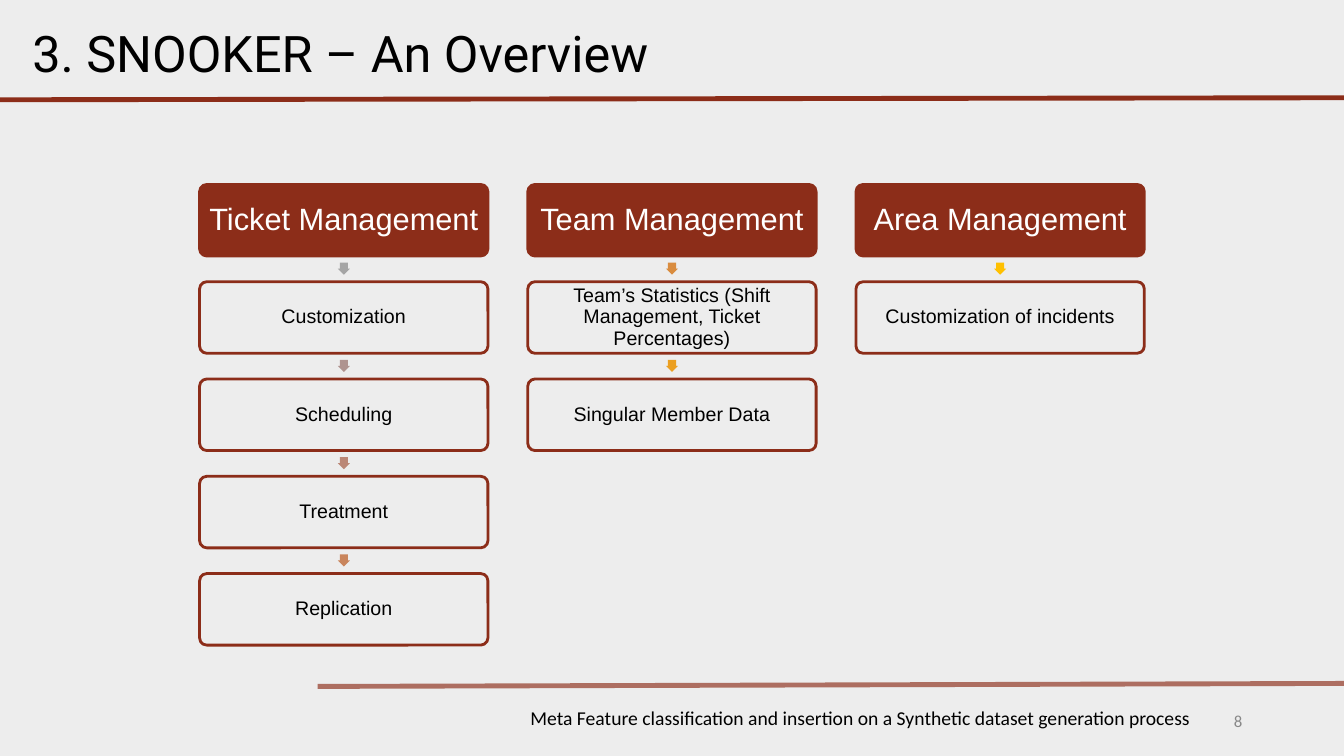
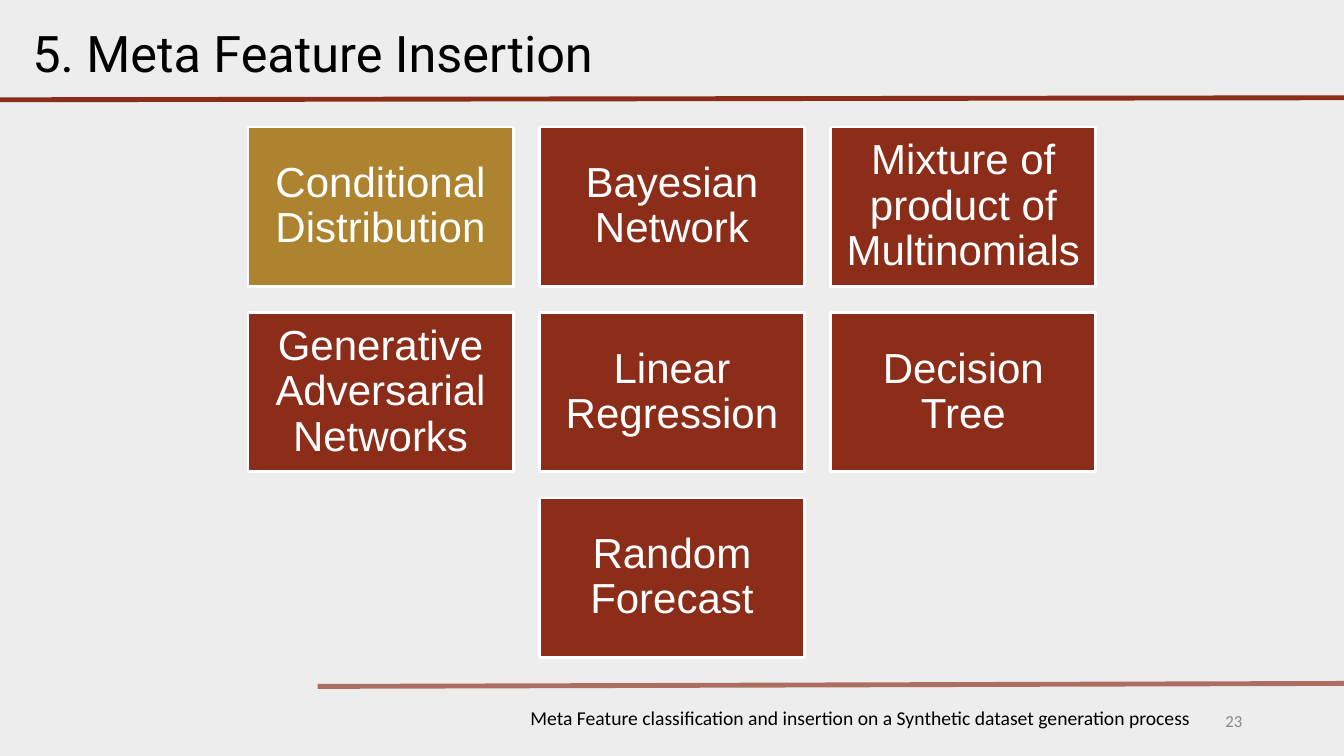
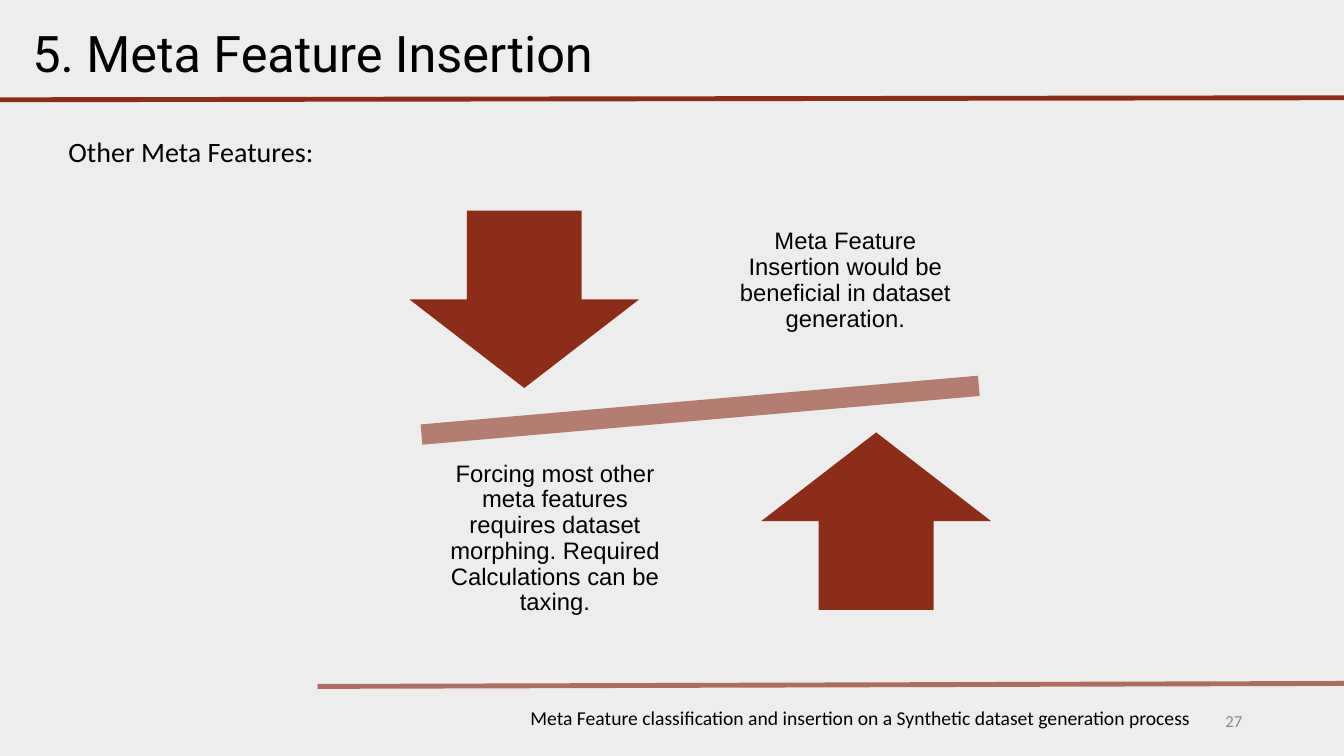
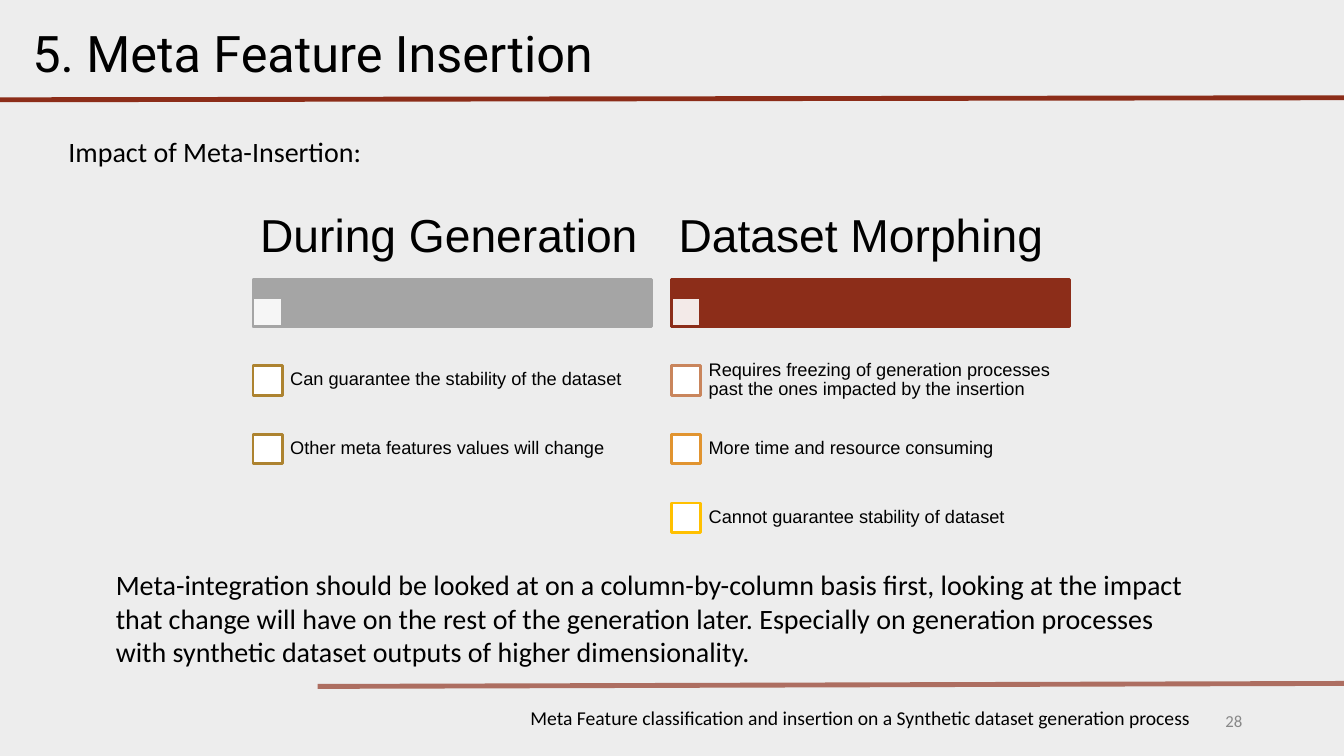
from lxml.etree import SubElement
from pptx import Presentation
from pptx.dml.color import RGBColor
from pptx.enum.shapes import MSO_CONNECTOR, MSO_SHAPE as SHAPE
from pptx.enum.text import MSO_ANCHOR as ANCHOR, MSO_AUTO_SIZE, PP_ALIGN as ALIGN
from pptx.oxml.ns import qn
from pptx.util import Inches, Pt

COLORS = {
    "background": "EDEDED", "brick": "8C2D19", "ochre": "AD8330", "gray": "A5A5A5",
    "white": "FFFFFF", "black": "000000", "number": "888888",
    "dusk": "AF938F", "clay": "BB8776", "copper": "C9855C", "orange": "D98C3F",
    "tangerine": "E19430", "amber": "EB9F21", "yellow": "FFC000",
}
FOOTER = "Meta Feature classification and insertion on a Synthetic dataset generation process"
INSERTION_TITLE = "5. Meta Feature Insertion"


def rgb(name):
    return RGBColor.from_string(COLORS[name])


def set_opacity(shape, percent):
    """Make the first solid colour of the shape partly transparent."""
    color = shape.element.spPr.find(f".//{qn('a:solidFill')}/{qn('a:srgbClr')}")
    SubElement(color, qn("a:alpha"), val=str(percent * 1000))


def write_text(shape, text, size, font="Arial", color="black", align=ALIGN.LEFT,
               anchor=ANCHOR.TOP, inset=(0.1, 0.05), spacing=None):
    frame = shape.text_frame
    frame.auto_size = MSO_AUTO_SIZE.NONE
    frame.word_wrap = True
    frame.vertical_anchor = anchor
    frame.margin_left = frame.margin_right = Inches(inset[0])
    frame.margin_top = frame.margin_bottom = Inches(inset[1])
    paragraph = frame.paragraphs[0]
    paragraph.alignment = align
    paragraph.line_spacing = spacing
    run = paragraph.add_run()
    run.text = text
    run.font.name = font
    run.font.size = Pt(size)
    run.font.color.rgb = rgb(color)


def add_text(slide, text, left, top, width, height, size, **text_format):
    box = slide.shapes.add_textbox(*map(Inches, (left, top, width, height)))
    write_text(box, text, size, **text_format)


def add_shape(slide, kind, left, top, width, height, fill=None, line=None):
    shape = slide.shapes.add_shape(kind, *map(Inches, (left, top, width, height)))
    shape.shadow.inherit = False
    if fill:
        shape.fill.solid()
        shape.fill.fore_color.rgb = rgb(fill)
    else:
        shape.fill.background()
    if line:
        shape.line.color.rgb = rgb(line)
        shape.line.width = Pt(2)
    else:
        shape.line.fill.background()
    return shape


def add_rule(slide, *ends, opacity=100):
    rule = slide.shapes.add_connector(MSO_CONNECTOR.STRAIGHT, *map(Inches, ends))
    rule.line.color.rgb = rgb("brick")
    rule.line.width = Pt(3.5)
    SubElement(rule.element.spPr, qn("a:effectLst"))
    if opacity < 100:
        set_opacity(rule, opacity)


def add_slide(presentation, title, number):
    slide = presentation.slides.add_slide(presentation.slide_layouts[5])
    heading = slide.shapes.title
    heading.left, heading.top = Inches(0.22), Inches(0.17)
    heading.width, heading.height = Inches(12.89), Inches(0.71)
    write_text(heading, title, 36, font="Roboto")
    add_rule(slide, 0, 0.99, 13.33, 0.97)
    add_rule(slide, 3.15, 6.81, 13.33, 6.78, opacity=65)
    add_text(slide, FOOTER, 4.4, 6.95, 8.27, 0.4, 14, font="Calibri", align=ALIGN.CENTER)
    add_text(slide, str(number), 9.42, 6.95, 3, 0.4, 12, font="Calibri", color="number",
             align=ALIGN.RIGHT, anchor=ANCHOR.MIDDLE)
    return slide


def add_overview(slide):
    width, height, row_pitch = 2.86, 0.71, 0.965
    columns = [
        ("Ticket Management", [("Customization", "gray"), ("Scheduling", "dusk"),
                               ("Treatment", "clay"), ("Replication", "copper")]),
        ("Team Management", [
            ("Team’s Statistics (Shift Management, Ticket Percentages)", "orange"),
            ("Singular Member Data", "amber")]),
        ("Area Management", [("Customization of incidents", "yellow")]),
    ]
    for column, (header, steps) in enumerate(columns):
        left = 1.98 + 3.255 * column
        for row, (text, arrow_color) in enumerate([(header, None)] + steps):
            top = 1.83 + row_pitch * row
            is_header = row == 0
            box = add_shape(slide, SHAPE.ROUNDED_RECTANGLE, left, top, width, height,
                            fill="brick" if is_header else None, line="brick")
            box.adjustments[0] = 0.1
            write_text(box, text, 22 if is_header else 14,
                       color="white" if is_header else "black", align=ALIGN.CENTER,
                       anchor=ANCHOR.MIDDLE, inset=(0.04, 0.04), spacing=0.9)
            if arrow_color:
                arrow = add_shape(slide, SHAPE.DOWN_ARROW, left + width / 2 - 0.06,
                                  top - 0.19, 0.12, 0.12, fill=arrow_color)
                arrow.adjustments[0] = 0.667


def add_methods(slide):
    rows = [
        ["Conditional Distribution", "Bayesian Network", "Mixture of product of Multinomials"],
        ["Generative Adversarial Networks", "Linear Regression", "Decision Tree"],
        ["Random Forecast"],
    ]
    for row, names in enumerate(rows):
        first_column = (3 - len(names)) / 2
        for column, name in enumerate(names, 0):
            tile = add_shape(slide, SHAPE.RECTANGLE, 2.46 + 2.89 * (first_column + column),
                             1.26 + 1.84 * row, 2.63, 1.58, line="white",
                             fill="ochre" if row == column == 0 else "brick")
            write_text(tile, name, 30, color="white", align=ALIGN.CENTER,
                       anchor=ANCHOR.MIDDLE, inset=(0.12, 0.12), spacing=0.9)


def add_balance(slide):
    beam = add_shape(slide, SHAPE.MATH_MINUS, 3.17, 3.64, 7.55, 0.86, fill="brick")
    beam.rotation = 355
    set_opacity(beam, 58)
    sides = [
        (SHAPE.DOWN_ARROW, 4.06, 2.09, 7.17, 1.86,
         "Meta Feature Insertion would be beneficial in dataset generation."),
        (SHAPE.UP_ARROW, 7.55, 4.29, 4.29, 4.42,
         "Forcing most other meta features requires dataset morphing. "
         "Required Calculations can be taxing."),
    ]
    for kind, arrow_left, arrow_top, text_left, text_top, text in sides:
        add_shape(slide, kind, arrow_left, arrow_top, 2.28, 1.76, fill="brick")
        add_text(slide, text, text_left, text_top, 2.43, 1.85, 17, align=ALIGN.CENTER,
                 anchor=ANCHOR.MIDDLE, inset=(0.13, 0.13), spacing=0.9)


def add_impact_column(slide, left, header, color, items):
    square = 0.29
    add_shape(slide, SHAPE.RECTANGLE, left, 2.77, 3.95, 0.47, fill=color, line=color)
    marker = add_shape(slide, SHAPE.RECTANGLE, left, 2.95, square, square,
                       fill="white", line=color)
    set_opacity(marker, 90)
    add_text(slide, header, left, 1.94, 3.95, 0.84, 33, anchor=ANCHOR.MIDDLE,
             inset=(0.07, 0.05), spacing=0.9)
    for row, (text, outline) in enumerate(items):
        top = 3.43 + 0.68 * row
        add_shape(slide, SHAPE.RECTANGLE, left, top + 0.2, square, square,
                  fill="white", line=outline)
        add_text(slide, text, left + 0.27, top, 3.68, 0.68, 13, anchor=ANCHOR.MIDDLE,
                 inset=(0.1, 0.1), spacing=0.9)


def add_subtitle(slide, text):
    add_text(slide, text, 0.58, 1.29, 4.88, 0.44, 20, font="Calibri")


def main():
    presentation = Presentation()
    presentation.slide_width, presentation.slide_height = Inches(13.33), Inches(7.5)
    background = presentation.slide_master.background.fill
    background.solid()
    background.fore_color.rgb = rgb("background")

    add_overview(add_slide(presentation, "3. SNOOKER – An Overview", 8))
    add_methods(add_slide(presentation, INSERTION_TITLE, 23))

    balance = add_slide(presentation, INSERTION_TITLE, 27)
    add_subtitle(balance, "Other Meta Features:")
    add_balance(balance)

    impact = add_slide(presentation, INSERTION_TITLE, 28)
    add_subtitle(impact, "Impact of Meta-Insertion:")
    add_impact_column(impact, 2.51, "During Generation", "gray", [
        ("Can guarantee the stability of the dataset", "ochre"),
        ("Other meta features values will change", "ochre")])
    add_impact_column(impact, 6.66, "Dataset Morphing", "brick", [
        ("Requires freezing of generation processes past the ones impacted by the insertion",
         "copper"),
        ("More time and resource consuming", "tangerine"),
        ("Cannot guarantee stability of dataset", "yellow")])
    add_text(impact, "Meta-integration should be looked at on a column-by-column basis first, "
             "looking at the impact that change will have on the rest of the generation later. "
             "Especially on generation processes with synthetic dataset outputs of higher "
             "dimensionality.", 1.05, 5.58, 11.03, 1.11, 20, font="Calibri")

    presentation.save("out.pptx")


if __name__ == "__main__":
    main()
